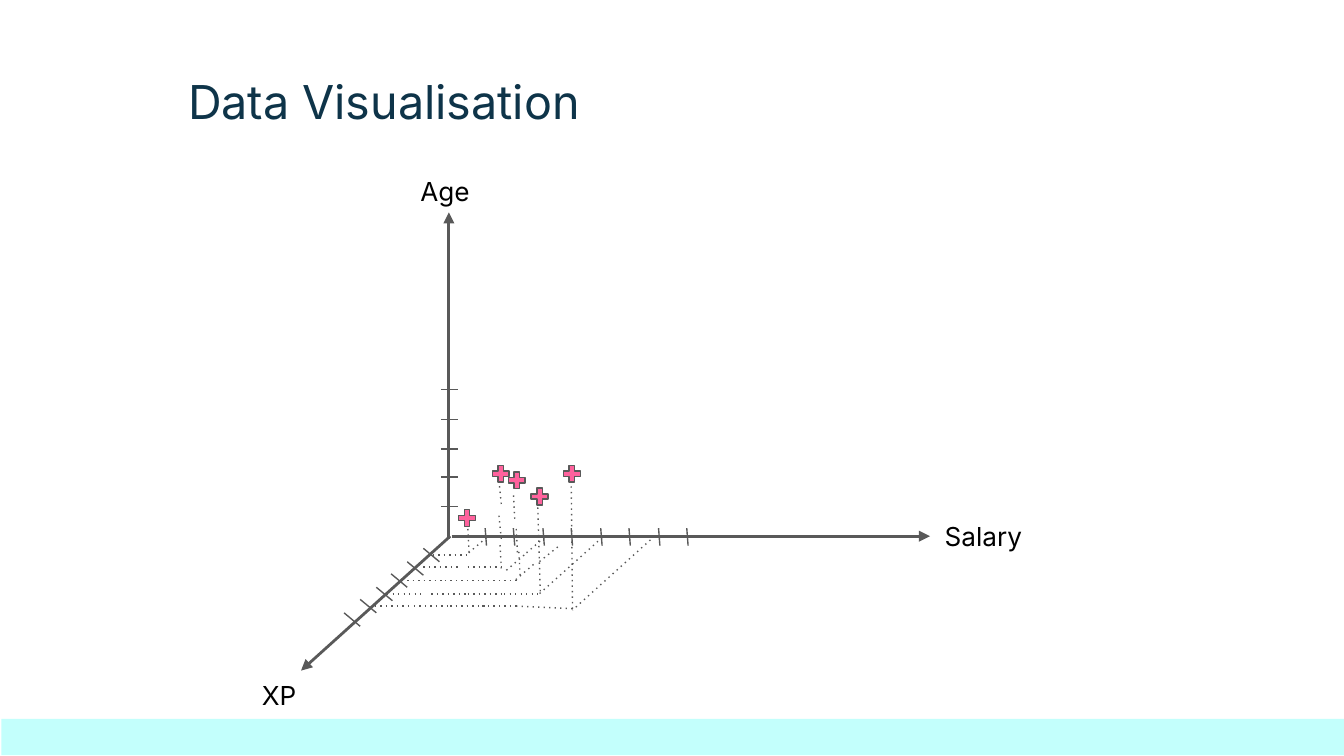
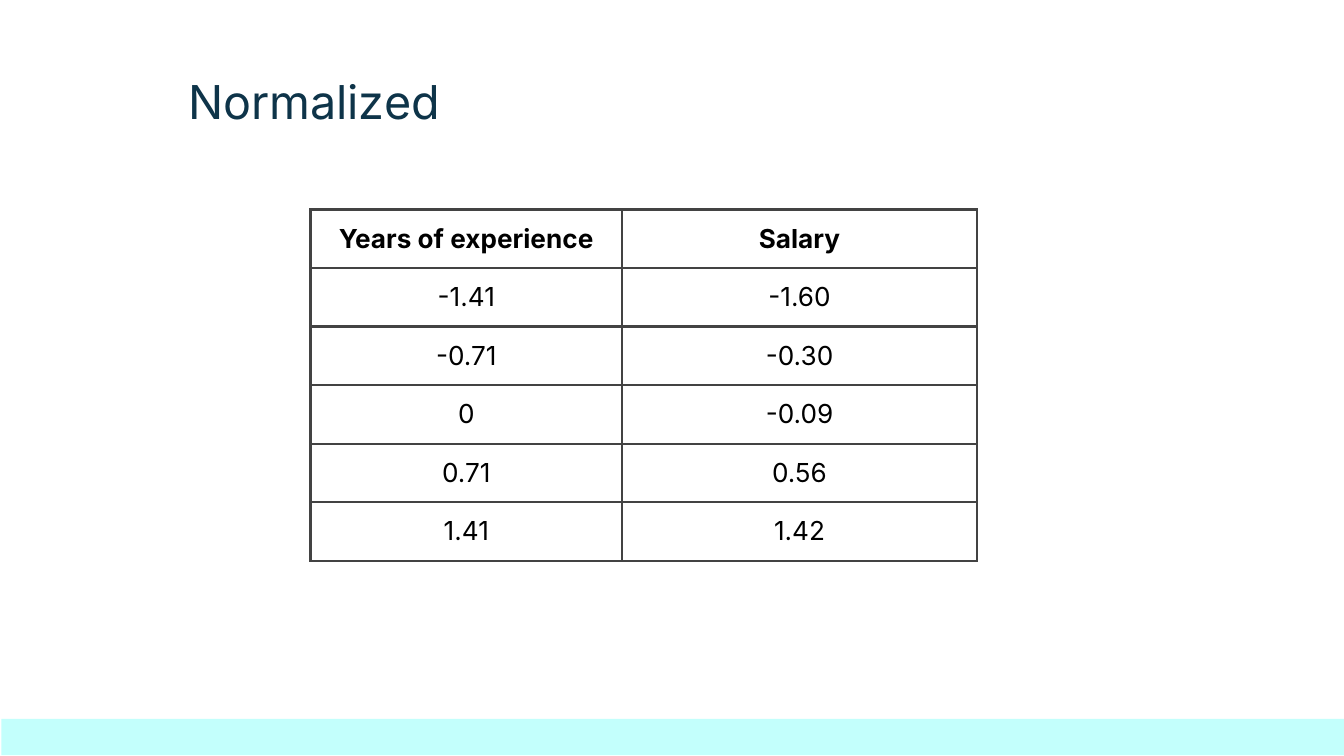
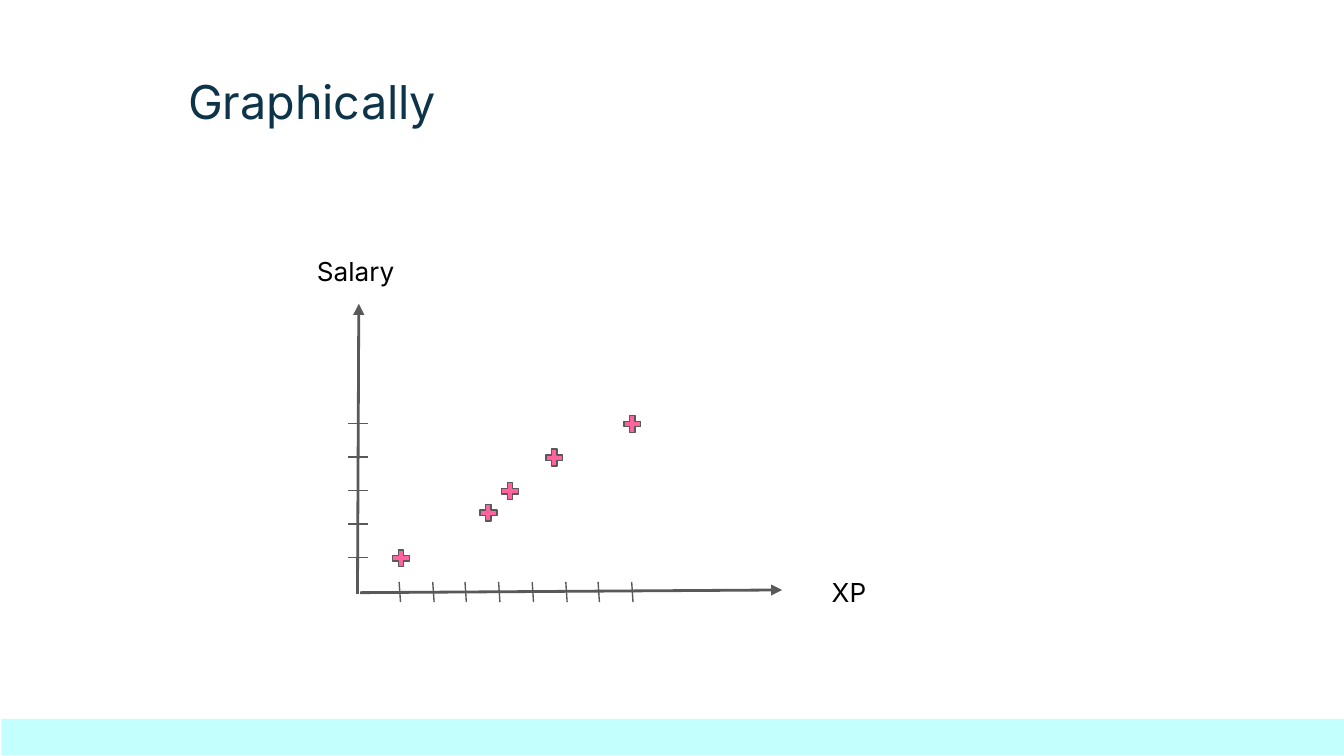
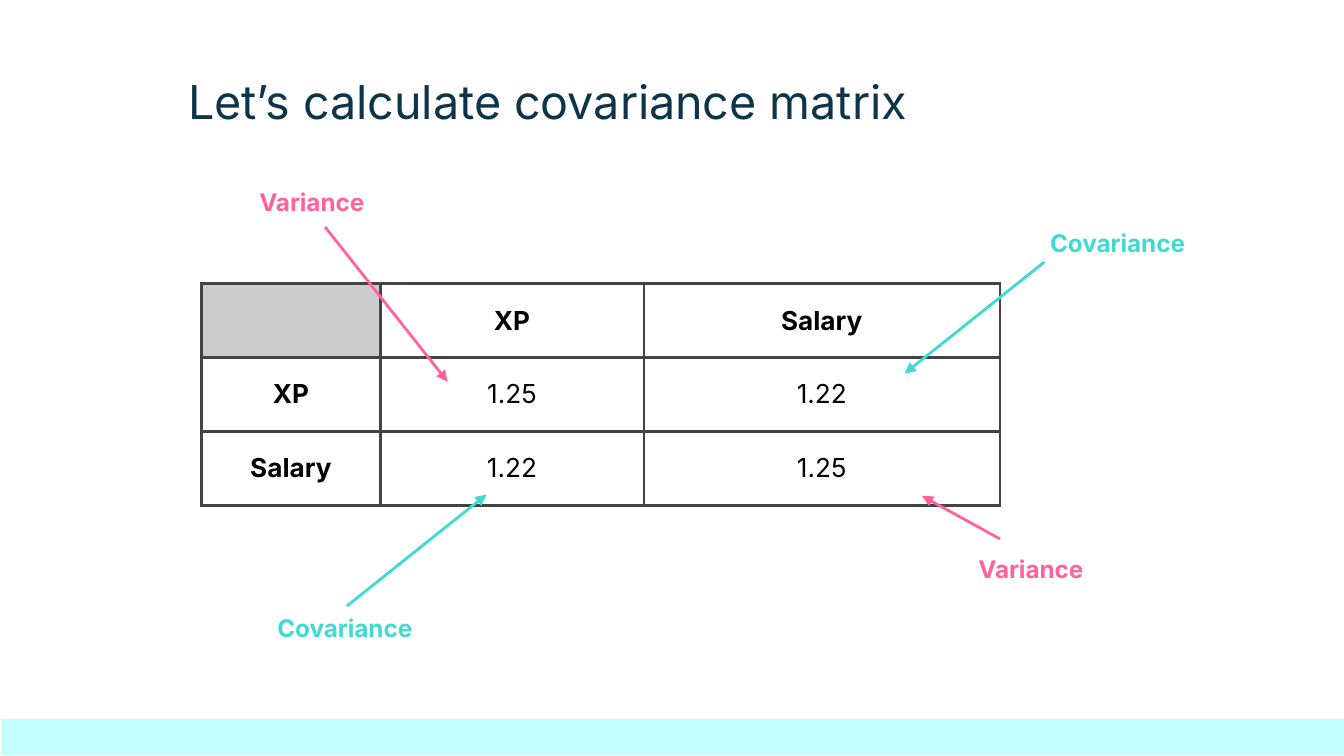
from typing import Any, NamedTuple

import pptx
import pptx.dml.color
import pptx.enum.dml
import pptx.enum.shapes
import pptx.enum.text
import pptx.oxml
import pptx.oxml.ns
import pptx.slide
import pptx.table
import pptx.text.text
import pptx.util

PX = 9144
FONT = "Inter"
RGB = pptx.dml.color.RGBColor
NAVY = RGB(0x0E, 0x34, 0x49)
AQUA = RGB(0xC3, 0xFF, 0xFC)
TEAL = RGB(0x3F, 0xDA, 0xD2)
PINK = RGB(0xFF, 0x62, 0x9D)
GREY = RGB(0x59, 0x59, 0x59)
BORDER = RGB(0x43, 0x43, 0x43)
SILVER = RGB(0xCC, 0xCC, 0xCC)
BLACK = RGB(0, 0, 0)

ALIGN = pptx.enum.text.PP_ALIGN
ANCHOR = pptx.enum.text.MSO_ANCHOR
SHAPE = pptx.enum.shapes.MSO_SHAPE
PLUS_SIZE = 17
DOT_RUN = 27


class Seg(NamedTuple):
    x1: int
    y1: int
    x2: int
    y2: int


class Label(NamedTuple):
    text: str
    x: int
    y: int
    w: int = 83
    h: int = 24
    anchor: Any = ANCHOR.MIDDLE


class Callout(NamedTuple):
    label: Label
    arrow: Seg
    color: RGB


class Grid(NamedTuple):
    x: int
    y: int
    cols: list[int]
    row_h: int
    rows: list[list[str]]
    anchor: Any = ANCHOR.TOP
    header_col: bool = False


AXES_3D = [Seg(334, 401, 334, 158), Seg(336, 399, 692, 399), Seg(335, 399, 224, 499)]
LABELS_3D = [Label("Salary", 693, 387), Label("XP", 185, 505), Label("Age", 303, 130)]
POINTS_3D = [(339, 377), (364, 344), (376, 349), (393, 361), (417, 344)]
DOT_ROWS = {
    413: [322],
    422: [315, 348],
    432: [303, 331, 359],
    442: [288, 321, 348, 375],
    451: [279, 308, 335, 359],
}
DOT_DEPTHS = [
    Seg(362, 400, 348, 412),
    Seg(405, 400, 391, 412),
    Seg(390, 413, 376, 425),
    Seg(415, 407, 400, 419),
    Seg(397, 420, 383, 432),
    Seg(448, 400, 400, 443),
    Seg(384, 451, 428, 453),
    Seg(487, 399, 426, 454),
]
DOT_DROPS = [
    Seg(349, 411, 348, 391),
    Seg(373, 423, 372, 403),
    Seg(373, 401, 371, 381),
    Seg(373, 375, 371, 355),
    Seg(387, 428, 386, 409),
    Seg(385, 411, 384, 391),
    Seg(383, 386, 382, 366),
    Seg(402, 440, 400, 373),
    Seg(426, 453, 425, 355),
]

AXES_2D = [Seg(266, 442, 267, 226), Seg(268, 441, 582, 439)]
LABELS_2D = [Label("Salary", 226, 180, 96, 27, ANCHOR.TOP), Label("XP", 609, 427, 96, 27)]
POINTS_2D = [(290, 407), (355, 373), (371, 357), (404, 332), (462, 307)]

NORMALIZED = Grid(231, 156, [232, 264], 42, [
    ["Years of experience", "Salary"],
    ["-1.41", "-1.60"],
    ["-0.71", "-0.30"],
    ["0", "-0.09"],
    ["0.71", "0.56"],
    ["1.41", "1.42"],
])
COVARIANCE = Grid(150, 211, [133, 196, 265], 55, [
    ["", "XP", "Salary"],
    ["XP", "1.25", "1.22"],
    ["Salary", "1.22", "1.25"],
], ANCHOR.MIDDLE, True)
CALLOUTS = [
    Callout(Label("Variance", 177, 138, 110), Seg(242, 169, 333, 284), PINK),
    Callout(Label("Variance", 712, 411, 110), Seg(744, 401, 686, 369), PINK),
    Callout(Label("Covariance", 770, 169, 123), Seg(777, 195, 673, 278), TEAL),
    Callout(Label("Covariance", 195, 455, 123), Seg(258, 451, 362, 368), TEAL),
]


def px(*lengths: int) -> list[int]:
    return [pptx.util.Emu(n * PX) for n in lengths]


def spread(first: int, last: int, count: int) -> list[int]:
    return [round(first + (last - first) * i / (count - 1)) for i in range(count)]


def write(tf: pptx.text.text.TextFrame, text: str, *, size: int = 14, color: RGB = BLACK,
          bold: bool = False, align: Any = ALIGN.LEFT) -> None:
    p = tf.paragraphs[0]
    p.alignment = align
    r = p.add_run()
    r.text = text
    r.font.name = FONT
    r.font.size = pptx.util.Pt(size)
    r.font.bold = bold
    r.font.color.rgb = color


def set_frame(tf: pptx.text.text.TextFrame, anchor: Any) -> None:
    tf.word_wrap = True
    tf.auto_size = pptx.enum.text.MSO_AUTO_SIZE.NONE
    tf.vertical_anchor = anchor
    tf.margin_left = tf.margin_right = tf.margin_top = tf.margin_bottom = 10 * PX


def add_label(s: pptx.slide.Slide, label: Label, **fmt: Any) -> None:
    sp = s.shapes.add_textbox(*px(label.x, label.y, label.w, label.h))
    set_frame(sp.text_frame, label.anchor)
    write(sp.text_frame, label.text, **fmt)


def add_line(s: pptx.slide.Slide, seg: Seg, *, color: RGB = GREY, width: float = 0.75,
             dotted: bool = False, arrow: bool = False) -> None:
    sp = s.shapes.add_connector(pptx.enum.shapes.MSO_CONNECTOR.STRAIGHT, *px(*seg))
    sp.line.color.rgb = color
    sp.line.width = pptx.util.Pt(width)
    ln = sp.line._get_or_add_ln()
    if dotted:
        add_child(ln, "a:prstDash", val="dot")
    if arrow:
        add_child(ln, "a:tailEnd", type="triangle")
    add_child(sp._element.spPr, "a:effectLst")


def add_child(parent: Any, tag: str, **attrs: str) -> Any:
    child = parent.makeelement(pptx.oxml.ns.qn(tag), attrs)
    parent.append(child)
    return child


def add_box(s: pptx.slide.Slide, kind: Any, box: list[int], fill: RGB) -> Any:
    sp = s.shapes.add_shape(kind, *box)
    sp.shadow.inherit = False
    sp.fill.solid()
    sp.fill.fore_color.rgb = fill
    sp.line.fill.background()
    return sp


def add_points(s: pptx.slide.Slide, points: list[tuple[int, int]]) -> None:
    for x, y in points:
        sp = add_box(s, SHAPE.MATH_PLUS, px(x, y, PLUS_SIZE, PLUS_SIZE), PINK)
        sp.adjustments[0] = 0.235
        sp.line.color.rgb = GREY
        sp.line.width = pptx.util.Pt(0.75)


def set_borders(cell: Any) -> None:
    tcPr = cell._tc.get_or_add_tcPr()
    for i, side in enumerate(("a:lnL", "a:lnR", "a:lnT", "a:lnB")):
        ln = add_child(tcPr, side, w=str(pptx.util.Pt(1.5)))
        add_child(add_child(ln, "a:solidFill"), "a:srgbClr", val=str(BORDER))
        tcPr.insert(i, ln)


def add_grid(s: pptx.slide.Slide, grid: Grid) -> None:
    n = len(grid.rows)
    box = px(grid.x, grid.y, sum(grid.cols), grid.row_h * n)
    table = s.shapes.add_table(n, len(grid.cols), *box).table
    table.first_row = table.horz_banding = False
    for column, width in zip(table.columns, grid.cols):
        column.width = width * PX
    for i, row in enumerate(grid.rows):
        table.rows[i].height = grid.row_h * PX
        for j, text in enumerate(row):
            cell = table.cell(i, j)
            cell.vertical_anchor = grid.anchor
            cell.margin_left = cell.margin_right = cell.margin_top = cell.margin_bottom = 10 * PX
            if text:
                cell.fill.background()
                bold = i == 0 or (grid.header_col and j == 0)
                write(cell.text_frame, text, bold=bold, align=ALIGN.CENTER)
            else:
                cell.fill.solid()
                cell.fill.fore_color.rgb = SILVER
            set_borders(cell)


def add_slide(prs: Any, title: str) -> pptx.slide.Slide:
    s = prs.slides.add_slide(prs.slide_layouts[5])
    sp = s.shapes.title
    sp.left, sp.top, sp.width, sp.height = px(130, 44, 581, 58)
    set_frame(sp.text_frame, ANCHOR.TOP)
    write(sp.text_frame, title, size=25, color=NAVY)
    add_box(s, SHAPE.RECTANGLE, px(1, 535, 999, 27), AQUA)
    return s


def add_plot(s: pptx.slide.Slide, axes: list[Seg], ticks: list[Seg], labels: list[Label]) -> None:
    for axis in axes:
        add_line(s, axis, width=1.5, arrow=True)
    for tick in ticks:
        add_line(s, tick)
    for label in labels:
        add_label(s, label)


def build_space(prs: Any) -> None:
    s = add_slide(prs, "Data Visualisation")
    ticks = [Seg(x, 393, x + 1, 406) for x in spread(361, 511, 8)]
    ticks += [Seg(328, y, 341, y) for y in spread(377, 290, 5)]
    ticks += [Seg(x, y, x + 12, y + 10)
              for x, y in zip(spread(315, 256, 6), spread(408, 456, 6))]
    add_plot(s, AXES_3D, ticks, LABELS_3D)
    rows = [Seg(x, y, x + DOT_RUN, y) for y, starts in DOT_ROWS.items() for x in starts]
    for seg in rows + DOT_DEPTHS + DOT_DROPS:
        add_line(s, seg, dotted=True)
    add_points(s, POINTS_3D)


def build_plane(prs: Any) -> None:
    s = add_slide(prs, "Graphically")
    ticks = [Seg(x, 433, x + 1, 448) for x in spread(297, 470, 8)]
    ticks += [Seg(259, y, 274, y) for y in spread(415, 315, 5)]
    add_plot(s, AXES_2D, ticks, LABELS_2D)
    add_points(s, POINTS_2D)


def build_covariance(prs: Any) -> None:
    s = add_slide(prs, "Let’s calculate covariance matrix")
    add_grid(s, COVARIANCE)
    for label, arrow, color in CALLOUTS:
        add_line(s, arrow, color=color, width=1.5, arrow=True)
        add_label(s, label, size=13, color=color, bold=True, align=ALIGN.CENTER)


def main() -> None:
    prs = pptx.Presentation()
    prs.slide_width = pptx.util.Emu(1000 * PX)
    prs.slide_height = pptx.util.Emu(prs.slide_width * 9 // 16)
    build_space(prs)
    add_grid(add_slide(prs, "Normalized"), NORMALIZED)
    build_plane(prs)
    build_covariance(prs)
    prs.save("out.pptx")


if __name__ == "__main__":
    main()
